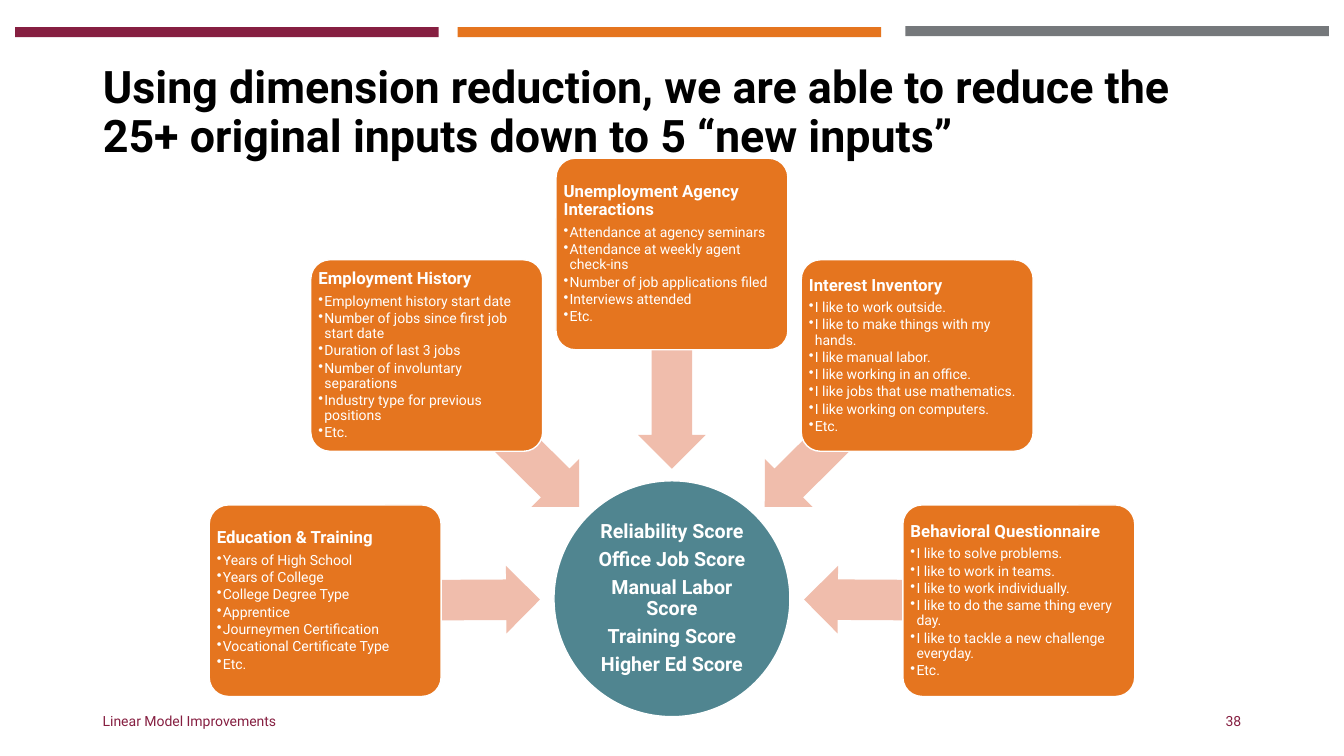
"""Five groups of raw inputs point at one hub of reduced scores."""
from dataclasses import dataclass
from math import atan2, cos, degrees, hypot, radians, sin

from lxml.etree import SubElement
from pptx import Presentation
from pptx.dml.color import RGBColor
from pptx.enum.shapes import MSO_SHAPE as Form
from pptx.enum.text import MSO_ANCHOR as Anchor, MSO_AUTO_SIZE as Fit, PP_ALIGN as Align
from pptx.oxml.ns import qn
from pptx.util import Inches, Pt

TITLE = "Using dimension reduction, we are able to reduce the 25+ original inputs down to 5 “new inputs”"
FOOT = "Linear Model Improvements"
PAGE = "38"
SCORES = ["Reliability Score", "Office Job Score", "Manual Labor Score",
          "Training Score", "Higher Ed Score"]
CARDS = [
    ("Education & Training", [
        "Years of High School", "Years of College", "College Degree Type", "Apprentice",
        "Journeymen Certification", "Vocational Certificate Type", "Etc."]),
    ("Employment History", [
        "Employment history start date", "Number of jobs since first job start date",
        "Duration of last 3 jobs", "Number of involuntary separations",
        "Industry type for previous positions", "Etc."]),
    ("Unemployment Agency Interactions", [
        "Attendance at agency seminars", "Attendance at weekly agent check-ins",
        "Number of job applications filed", "Interviews attended", "Etc."]),
    ("Interest Inventory", [
        "I like to work outside.", "I like to make things with my hands.",
        "I like manual labor.", "I like working in an office.",
        "I like jobs that use mathematics.", "I like working on computers.", "Etc."]),
    ("Behavioral Questionnaire", [
        "I like to solve problems.", "I like to work in teams.",
        "I like to work individually.", "I like to do the same thing every day.",
        "I like to tackle a new challenge everyday.", "Etc."]),
]


@dataclass(frozen=True)
class Theme:
    font: str = "Roboto"
    maroon: str = "861F41"
    orange: str = "E5751F"
    gray: str = "75787B"
    teal: str = "508590"
    pink: str = "F0BDAC"
    white: str = "FFFFFF"
    black: str = "000000"
    title: int = 32
    score: int = 14
    head: int = 12
    item: int = 10


LOOK = Theme()
WIDE, HIGH = 13.33, 7.5
MARGIN = 0.92
BAR_W, BAR_H = 4.2, 0.1
BARS = [(0.15, 0.27, LOOK.maroon), (8.98, 0.26, LOOK.gray), (4.54, 0.27, LOOK.orange)]
HUB_X, HUB_Y, HUB_D = WIDE / 2, 5.94, 2.34
RING_Y, RING_R = 5.96, 3.44
CARD_W, CARD_H = 2.3, 1.9
ARROW_W, ARROW_H = 2.13, 0.67
STEP = 180 / (len(CARDS) - 1)


def style(para, size, color, bold=False, gap=0.0, align=Align.LEFT, space=0.9):
    para.alignment = align
    para.line_spacing = space
    para.space_before = Pt(0)
    para.space_after = Pt(size * gap)
    for run in para.runs:
        font = run.font
        font.name, font.size, font.bold = LOOK.font, Pt(size), bold
        font.color.rgb = RGBColor.from_string(color)


def bullet(para):
    para.level = 1
    props = para._p.get_or_add_pPr()
    props.set("marL", str(Inches(0.06)))
    props.set("indent", str(-Inches(0.06)))
    SubElement(props, qn("a:buChar")).set("char", "•")


def block(slide, form, mid_x, mid_y, wide, high, fill, edge=None):
    shape = slide.shapes.add_shape(form, Inches(mid_x - wide / 2), Inches(mid_y - high / 2),
                                   Inches(wide), Inches(high))
    shape.shadow.inherit = False
    shape.fill.solid()
    shape.fill.fore_color.rgb = RGBColor.from_string(fill)
    if edge:
        shape.line.color.rgb = RGBColor.from_string(edge)
        shape.line.width = Pt(1)
    else:
        shape.line.fill.background()
    return shape


def write(shape, lines, inset):
    frame = shape.text_frame
    frame.word_wrap, frame.vertical_anchor = True, Anchor.MIDDLE
    frame.margin_left = frame.margin_right = Inches(inset)
    frame.margin_top = frame.margin_bottom = Inches(inset)
    frame.text = "\n".join(lines)
    return frame.paragraphs


def label(slide, text, left, wide, align):
    box = slide.shapes.add_textbox(Inches(left), Inches(6.95), Inches(wide), Inches(0.4))
    para, = write(box, [text], 0.1)
    style(para, LOOK.item, LOOK.maroon, align=align, space=1.0)


def head(slide):
    title = slide.shapes.title
    title.left, title.top = Inches(MARGIN), Inches(0.4)
    title.width, title.height = Inches(WIDE - 2 * MARGIN), Inches(1.45)
    para, = write(title, [TITLE], 0.1)
    title.text_frame.auto_size = Fit.NONE
    style(para, LOOK.title, LOOK.black, bold=True)


def hub(slide):
    disc = block(slide, Form.OVAL, HUB_X, HUB_Y, HUB_D, HUB_D, LOOK.teal, LOOK.white)
    for para in write(disc, SCORES, 0):
        style(para, LOOK.score, LOOK.white, True, 0.35, Align.CENTER)


def card(slide, mid_x, mid_y, name, items):
    box = block(slide, Form.ROUNDED_RECTANGLE, mid_x, mid_y, CARD_W, CARD_H,
                LOOK.orange, LOOK.white)
    box.adjustments[0] = 0.1
    first, *rest = write(box, [name, *items], 0.02)
    style(first, LOOK.head, LOOK.white, True, 0.35)
    for para in rest:
        style(para, LOOK.item, LOOK.white, gap=0.15)
        bullet(para)


def arrow(slide, mid_x, mid_y):
    run, rise = HUB_X - mid_x, HUB_Y - mid_y
    part = ARROW_W / 2 / hypot(run, rise)
    shape = block(slide, Form.LEFT_ARROW, mid_x + run * part, mid_y + rise * part,
                  ARROW_W, ARROW_H, LOOK.pink)
    shape.adjustments[0], shape.adjustments[1] = 0.6, 0.5
    shape.rotation = (degrees(atan2(rise, run)) + 180) % 360


def main():
    deck = Presentation()
    deck.slide_width, deck.slide_height = Inches(WIDE), Inches(HIGH)
    slide = deck.slides.add_slide(deck.slide_layouts[5])
    for left, top, color in BARS:
        block(slide, Form.RECTANGLE, left + BAR_W / 2, top + BAR_H / 2, BAR_W, BAR_H, color)
    head(slide)
    label(slide, FOOT, MARGIN, 4.5, Align.LEFT)
    label(slide, PAGE, WIDE - MARGIN - 3, 3, Align.RIGHT)
    hub(slide)
    for rank, (name, items) in enumerate(CARDS):
        turn = radians(180 - rank * STEP)
        mid_x, mid_y = HUB_X + RING_R * cos(turn), RING_Y - RING_R * sin(turn)
        arrow(slide, mid_x, mid_y)
        card(slide, mid_x, mid_y, name, items)
    deck.save("out.pptx")


if __name__ == "__main__":
    main()
